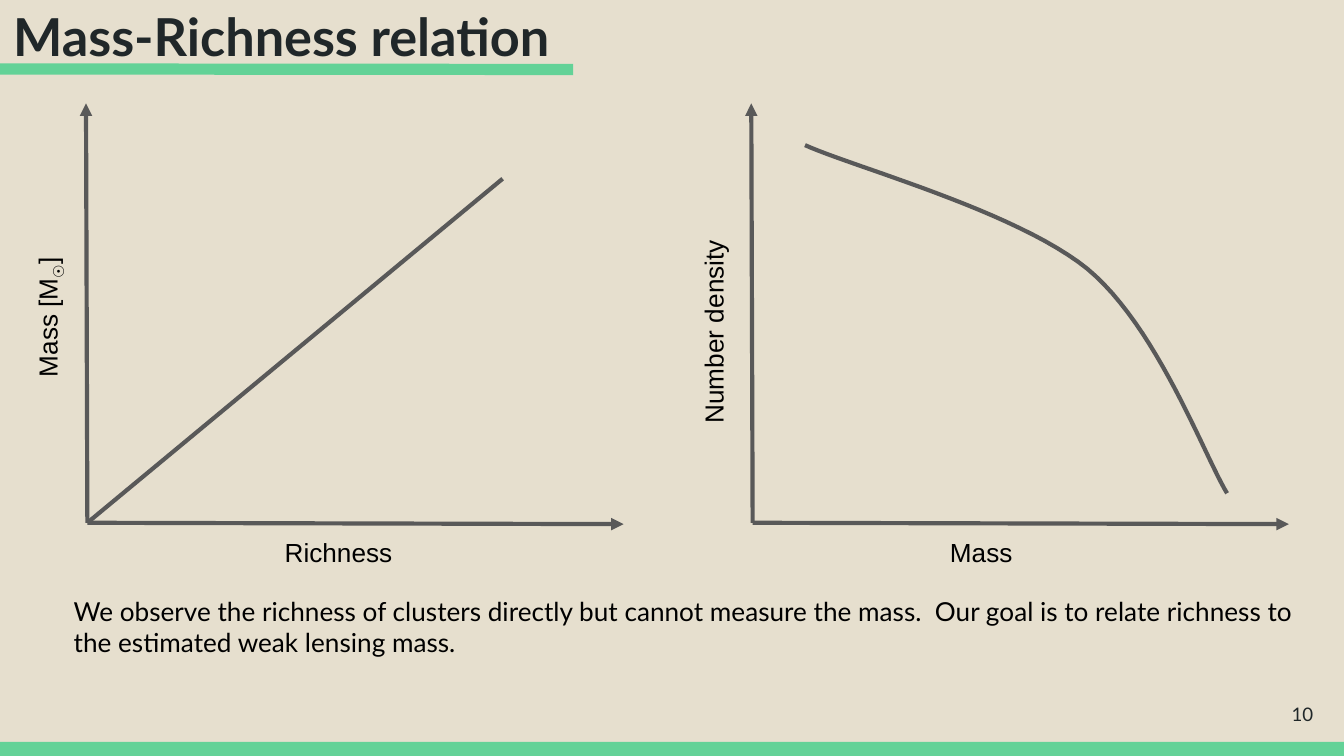
from lxml import etree
from pptx import Presentation
from pptx.dml.color import RGBColor
from pptx.enum.shapes import MSO_CONNECTOR, MSO_SHAPE
from pptx.enum.text import MSO_ANCHOR, PP_ALIGN
from pptx.oxml.ns import qn
from pptx.util import Inches, Pt

STRAIGHT = MSO_CONNECTOR.STRAIGHT
RECTANGLE = MSO_SHAPE.RECTANGLE
TOP, MIDDLE = MSO_ANCHOR.TOP, MSO_ANCHOR.MIDDLE
LEFT, RIGHT = PP_ALIGN.LEFT, PP_ALIGN.RIGHT

COLORS = {
    "background": "E6DFCE",
    "accent": "63D297",
    "dark": "202729",
    "text": "000000",
    "axis": "595959",
}
COLUMNS, ROWS = 100, 56.25
CELL = Inches(10) // COLUMNS
FOOTER_ROWS = 1.05
ORIGIN_ROW = 38.9
PLOT_COLUMNS = (6.5, 56)
AXIS_WIDTH = 2.25
CURVE_START = (59.9, 10.8)
CURVE_PARTS = [
    [(63.4, 12.4), (75.6, 15.7), (80.9, 20)],
    [(86.1, 24.3), (89.6, 33.9), (91.3, 36.7)],
]
CURVE_STEPS = 24


def grid(*cells):
    """Turn counts of grid cells into lengths."""
    return [round(cell * CELL) for cell in cells]


def color(name):
    """Look up a named colour."""
    return RGBColor.from_string(COLORS[name])


def add_text(page, place, spans, size=14, font="Arial", ink="text",
             bold=False, align=LEFT, anchor=TOP, rotation=0):
    """Add a one-paragraph box from (text, baseline) spans."""
    box = page.shapes.add_textbox(*grid(*place))
    box.rotation = rotation
    frame = box.text_frame
    frame.word_wrap = True
    frame.vertical_anchor = anchor
    frame.margin_left, frame.margin_top, frame.margin_right, frame.margin_bottom = grid(1, 1, 1, 1)
    para = frame.paragraphs[0]
    para.alignment = align
    for text, baseline in spans:
        span = para.add_run()
        span.text = text
        span.font.name = font
        span.font.size = Pt(size)
        span.font.bold = bold
        span.font.color.rgb = color(ink)
        if baseline:
            span.font._element.set("baseline", str(baseline * 1000))


def add_line(page, start, end, ink="axis", width=AXIS_WIDTH, arrow=False):
    """Draw a straight line, with an arrowhead at its end if wanted."""
    line = page.shapes.add_connector(STRAIGHT, *grid(*start, *end))
    line.line.color.rgb = color(ink)
    line.line.width = Pt(width)
    if arrow:
        etree.SubElement(line.line._get_or_add_ln(), qn("a:tailEnd"), type="triangle")
    etree.SubElement(line._element.spPr, qn("a:effectLst"))


def add_bar(page, place):
    """Add a plain accent bar."""
    bar = page.shapes.add_shape(RECTANGLE, *grid(*place))
    bar.shadow.inherit = False
    bar.fill.solid()
    bar.fill.fore_color.rgb = color("accent")
    bar.line.fill.background()


def bezier_point(points, share):
    """Find the point at a share of the way along a cubic curve."""
    rest = 1 - share
    weights = (rest ** 3, 3 * rest ** 2 * share, 3 * rest * share ** 2, share ** 3)
    return tuple(sum(weight * point[axis] for weight, point in zip(weights, points))
                 for axis in (0, 1))


def add_curve(page, start, parts):
    """Draw an open curve through cubic parts."""
    points = []
    knot = start
    for part in parts:
        points += [grid(*bezier_point([knot, *part], step / CURVE_STEPS))
                   for step in range(1, CURVE_STEPS + 1)]
        knot = part[-1]
    builder = page.shapes.build_freeform(*grid(*start))
    builder.add_line_segments(points, close=False)
    curve = builder.convert_to_shape()
    curve.shadow.inherit = False
    curve.fill.background()
    curve.line.color.rgb = color("axis")
    curve.line.width = Pt(AXIS_WIDTH)


def add_plot(page, column, across, upward, upward_place):
    """Draw a pair of axes with their labels."""
    origin = (column, ORIGIN_ROW)
    add_line(page, origin, (column - 0.1, 7.7), arrow=True)
    add_line(page, origin, (column + 39.9, 39), arrow=True)
    add_text(page, (column + 13.7, ORIGIN_ROW, 11.6, 4.4), [(across, 0)])
    add_text(page, upward_place, upward, rotation=270)


def main():
    """Build and save the slide."""
    deck = Presentation()
    deck.slide_width, deck.slide_height = grid(COLUMNS, ROWS)
    page = deck.slides.add_slide(deck.slide_layouts[6])
    page.background.fill.solid()
    page.background.fill.fore_color.rgb = color("background")

    add_bar(page, (0, ROWS - FOOTER_ROWS, COLUMNS, FOOTER_ROWS))
    add_text(page, (0, -0.7, 93.2, 6.3), [("Mass-Richness relation", 0)],
             size=28, font="Lato", ink="dark", bold=True)
    add_line(page, (0, 5.13), (42.65, 5.17), ink="accent", width=6)
    add_text(page, (4.5, 43.3, 94.4, 6.7),
             [("We observe the richness of clusters directly but cannot measure the mass.  "
               "Our goal is to relate richness to the estimated weak lensing mass.", 0)],
             font="Lato")

    first, second = PLOT_COLUMNS
    add_plot(page, first, "Richness", [("Mass [M", 0), ("☉", -25), ("]", 0)],
             (-2.2, 21.1, 11.5, 4.4))
    add_line(page, (first, ORIGIN_ROW), (37.4, 13.3))
    add_plot(page, second, "Mass", [("Number density", 0)], (43.9, 21.1, 18.4, 4.4))
    add_curve(page, CURVE_START, CURVE_PARTS)

    add_text(page, (92.7, 51, 6, 4.3), [("10", 0)], size=10, font="Lato",
             ink="dark", align=RIGHT, anchor=MIDDLE)
    deck.save("out.pptx")


if __name__ == "__main__":
    main()
